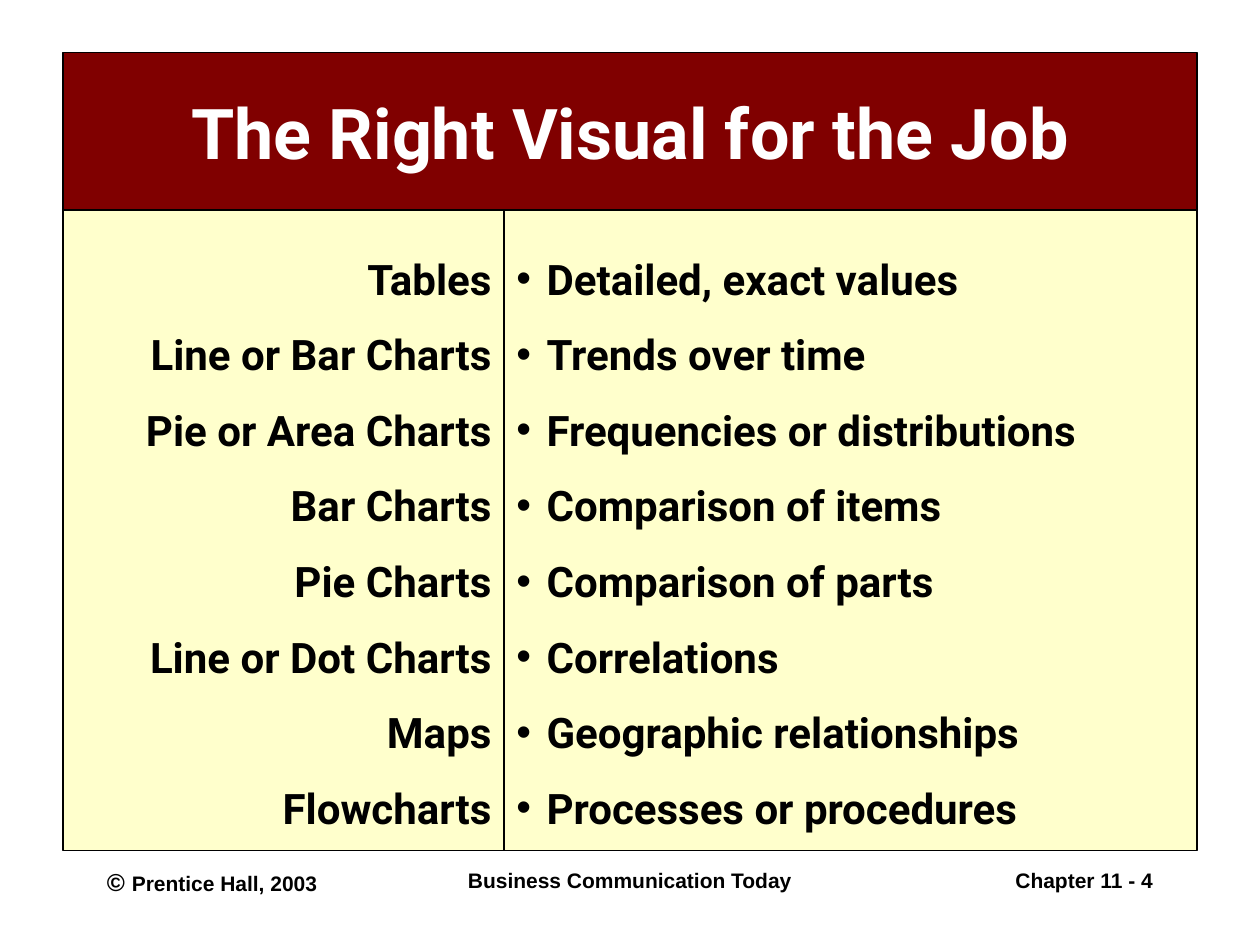
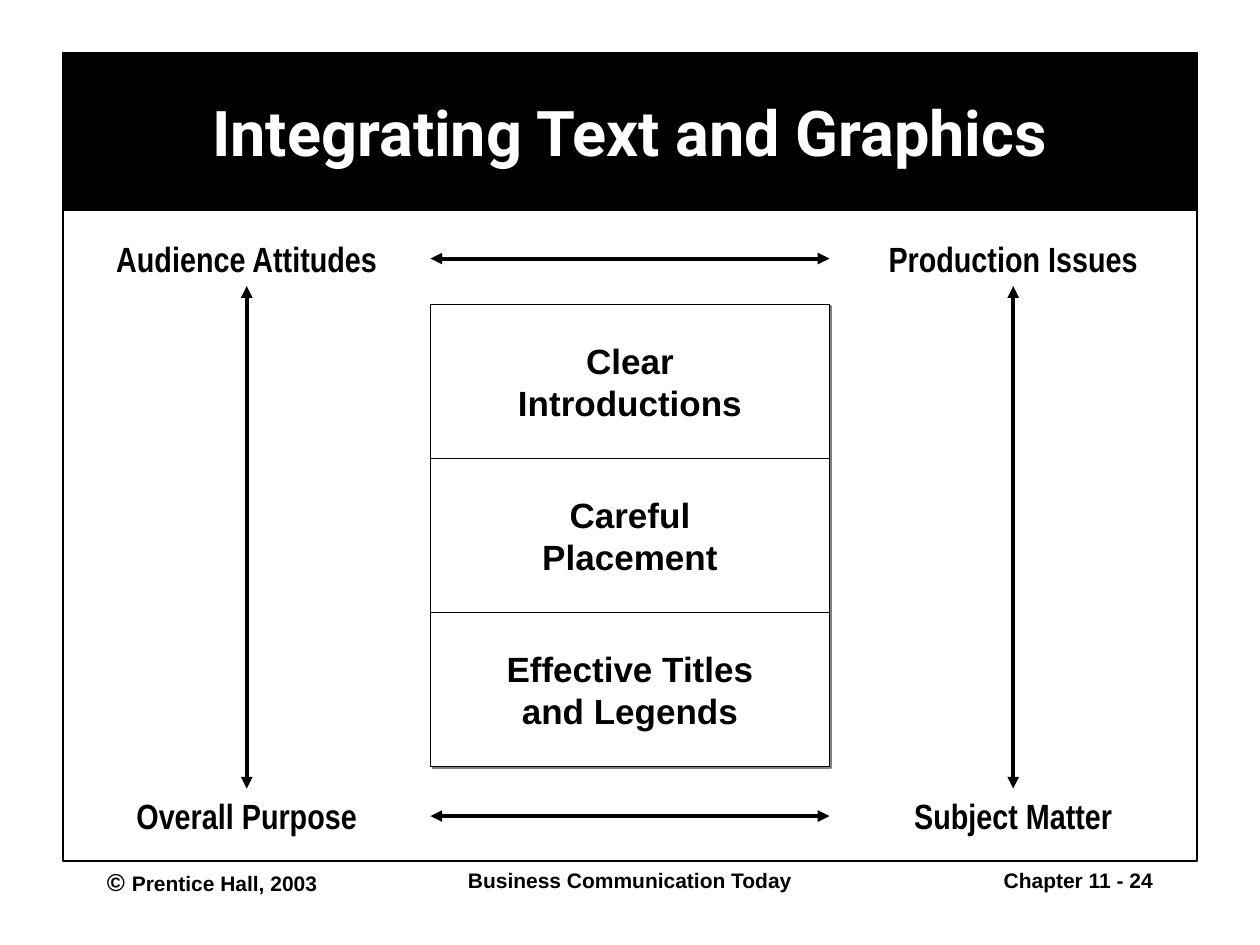
from dataclasses import dataclass

from lxml import etree
from pptx import Presentation
from pptx import util as u
from pptx.dml.color import RGBColor
from pptx.enum import shapes, text
from pptx.oxml.ns import qn

LEFT, CENTER, RIGHT = text.PP_ALIGN.LEFT, text.PP_ALIGN.CENTER, text.PP_ALIGN.RIGHT


@dataclass(frozen=True)
class Theme:
    ink: str = "000000"
    paper: str = "FFFFFF"
    maroon: str = "800000"
    cream: str = "FFFFCC"
    shade: str = "808080"
    heading: str = "Roboto"
    body: str = "Arial"
    label: str = "Arial Narrow"
    wide_title_size: int = 40
    title_size: int = 36
    list_size: int = 24
    label_size: int = 20
    footer_size: int = 12
    copyright_size: int = 14
    outline: float = 0.75
    arrow: float = 2.25


THEME = Theme()

# Grid of twelve units to the inch: 120 columns by 90 rows
UNIT = u.Inches(1) // 12
COLUMNS, ROWS = 120, 90
MARGIN, BAND_TOP, BAND_HEIGHT = 6, 5, 15
CONTENT_WIDTH = COLUMNS - 2 * MARGIN
CONTENT_TOP = BAND_TOP + BAND_HEIGHT
FOOTER_TOP, FOOTER_HEIGHT = 82, 6


def grid(*units):
    return [round(n * UNIT) for n in units]


def child(parent, tag, **attributes):
    return etree.SubElement(parent, qn(tag), attributes)


class Deck:
    def __init__(self, theme):
        self.theme = theme
        self.deck = Presentation()
        self.deck.slide_width, self.deck.slide_height = grid(COLUMNS, ROWS)
        self.slide = None

    def start_slide(self, page):
        """Open a blank slide and set its footer."""
        self.slide = self.deck.slides.add_slide(self.deck.slide_layouts[6])
        t = self.theme
        notice = [("© ", t.copyright_size), ("Prentice Hall, 2003", t.footer_size)]
        self.label((9, FOOTER_TOP, 25, FOOTER_HEIGHT), notice, LEFT)
        for left, width, words, align in (
            (41, 38, "Business Communication Today", CENTER),
            (86, 25, f"Chapter 11 - {page}", RIGHT),
        ):
            self.label((left, FOOTER_TOP, width, FOOTER_HEIGHT),
                       [(words, t.footer_size)], align)

    def add_runs(self, paragraph, runs, font, color, align):
        """Fill a paragraph with runs of (words, size)."""
        paragraph.alignment = align
        for words, size in runs:
            run = paragraph.add_run()
            run.text = words
            run.font.name, run.font.size, run.font.bold = font, u.Pt(size), True
            run.font.color.rgb = RGBColor.from_string(color)

    def label(self, area, runs, align=CENTER, font=None):
        frame = self.slide.shapes.add_textbox(*grid(*area)).text_frame
        frame.word_wrap = True
        self.add_runs(frame.paragraphs[0], runs, font or self.theme.body,
                      self.theme.ink, align)

    def panel(self, area, fill, group=None):
        panel = (group or self.slide).shapes.add_shape(
            shapes.MSO_SHAPE.RECTANGLE, *grid(*area))
        panel.shadow.inherit = False
        panel.fill.solid()
        panel.fill.fore_color.rgb = RGBColor.from_string(fill)
        panel.line.color.rgb = RGBColor.from_string(self.theme.ink)
        panel.line.width = u.Pt(self.theme.outline)
        return panel

    def lines(self, panel, entries, size, font, color=None, align=CENTER,
              spacing=None, bullet=False):
        """Put one paragraph per entry, centred vertically in the panel."""
        frame = panel.text_frame
        frame.word_wrap = True
        frame.vertical_anchor = text.MSO_ANCHOR.MIDDLE
        for index, entry in enumerate(entries):
            paragraph = frame.add_paragraph() if index else frame.paragraphs[0]
            if bullet:
                self.bullet(paragraph)
            if spacing:
                paragraph.line_spacing = spacing
            self.add_runs(paragraph, [(entry, size)], font,
                          color or self.theme.ink, align)

    def bullet(self, paragraph):
        properties = paragraph._p.get_or_add_pPr()
        indent = u.Inches(0.24)
        properties.set("marL", str(indent))
        properties.set("indent", str(-indent))
        child(child(properties, "a:buClr"), "a:srgbClr", val=self.theme.ink)
        child(properties, "a:buFont", typeface=self.theme.body)
        child(properties, "a:buChar", char="•")

    def title(self, words, size, fill):
        band = self.panel((MARGIN, BAND_TOP, CONTENT_WIDTH, BAND_HEIGHT), fill)
        self.lines(band, [words], size, self.theme.heading, self.theme.paper)

    def column(self, left, width, entries, **style):
        panel = self.panel((left, CONTENT_TOP, width, 61), self.theme.cream)
        self.lines(panel, entries, self.theme.list_size, self.theme.heading,
                   spacing=1.5, **style)

    def stack(self, area, blocks):
        """Split the area into equal shadowed blocks, grouped together."""
        left, top, width, height = area
        step = height / len(blocks)
        group = self.slide.shapes.add_group_shape()
        for index, entries in enumerate(blocks):
            block = self.panel((left, top + index * step, width, step),
                               self.theme.paper, group)
            self.drop_shadow(block)
            self.lines(block, entries, self.theme.label_size, self.theme.body)

    def drop_shadow(self, panel):
        effects = panel._element.spPr.find(qn("a:effectLst"))
        shadow = child(effects, "a:outerShdw", dist=str(u.Pt(1.4)),
                       dir=str(45 * 60000), algn="ctr", rotWithShape="0")
        child(shadow, "a:srgbClr", val=self.theme.shade)

    def double_arrow(self, *ends):
        arrow = self.slide.shapes.add_connector(
            shapes.MSO_CONNECTOR.STRAIGHT, *grid(*ends))
        arrow.line.color.rgb = RGBColor.from_string(self.theme.ink)
        arrow.line.width = u.Pt(self.theme.arrow)
        properties = arrow._element.spPr
        outline = properties.find(qn("a:ln"))
        for end in ("a:headEnd", "a:tailEnd"):
            child(outline, end, type="triangle")
        child(properties, "a:effectLst")


def build_visual_choices(deck):
    uses = {
        "Tables": "Detailed, exact values",
        "Line or Bar Charts": "Trends over time",
        "Pie or Area Charts": "Frequencies or distributions",
        "Bar Charts": "Comparison of items",
        "Pie Charts": "Comparison of parts",
        "Line or Dot Charts": "Correlations",
        "Maps": "Geographic relationships",
        "Flowcharts": "Processes or procedures",
    }
    deck.start_slide(4)
    deck.title("The Right Visual for the Job", THEME.wide_title_size, THEME.maroon)
    visuals_width = 42
    deck.column(MARGIN + visuals_width, CONTENT_WIDTH - visuals_width,
                uses.values(), align=LEFT, bullet=True)
    deck.column(MARGIN, visuals_width, uses, align=RIGHT)


def build_integration(deck):
    deck.start_slide(24)
    deck.panel((MARGIN, CONTENT_TOP, CONTENT_WIDTH, 62), THEME.paper)
    deck.title("Integrating Text and Graphics", THEME.title_size, THEME.ink)

    stack_left, stack_width = 41, 38
    stack_right = stack_left + stack_width
    deck.stack((stack_left, 29, stack_width, 44), [
        ("Clear", "Introductions"),
        ("Careful", "Placement"),
        ("Effective Titles", "and Legends"),
    ])

    side_width, factor_height = stack_left - MARGIN, 5.25
    upper, lower = 22, 75.1
    factors = {
        (MARGIN, upper): "Audience Attitudes",
        (MARGIN, lower): "Overall Purpose",
        (stack_right, lower): "Subject Matter",
        (stack_right, upper): "Production Issues",
    }
    for (left, top), factor in factors.items():
        deck.label((left, top, side_width, factor_height),
                   [(factor, THEME.label_size)], font=THEME.label)
    for left in (MARGIN, stack_right):
        middle = left + side_width / 2
        deck.double_arrow(middle, lower, middle, upper + factor_height)
    for top in (lower, upper):
        middle = top + factor_height / 2
        deck.double_arrow(stack_left, middle, stack_right, middle)


def main():
    deck = Deck(THEME)
    build_visual_choices(deck)
    build_integration(deck)
    deck.deck.save("out.pptx")


if __name__ == "__main__":
    main()
